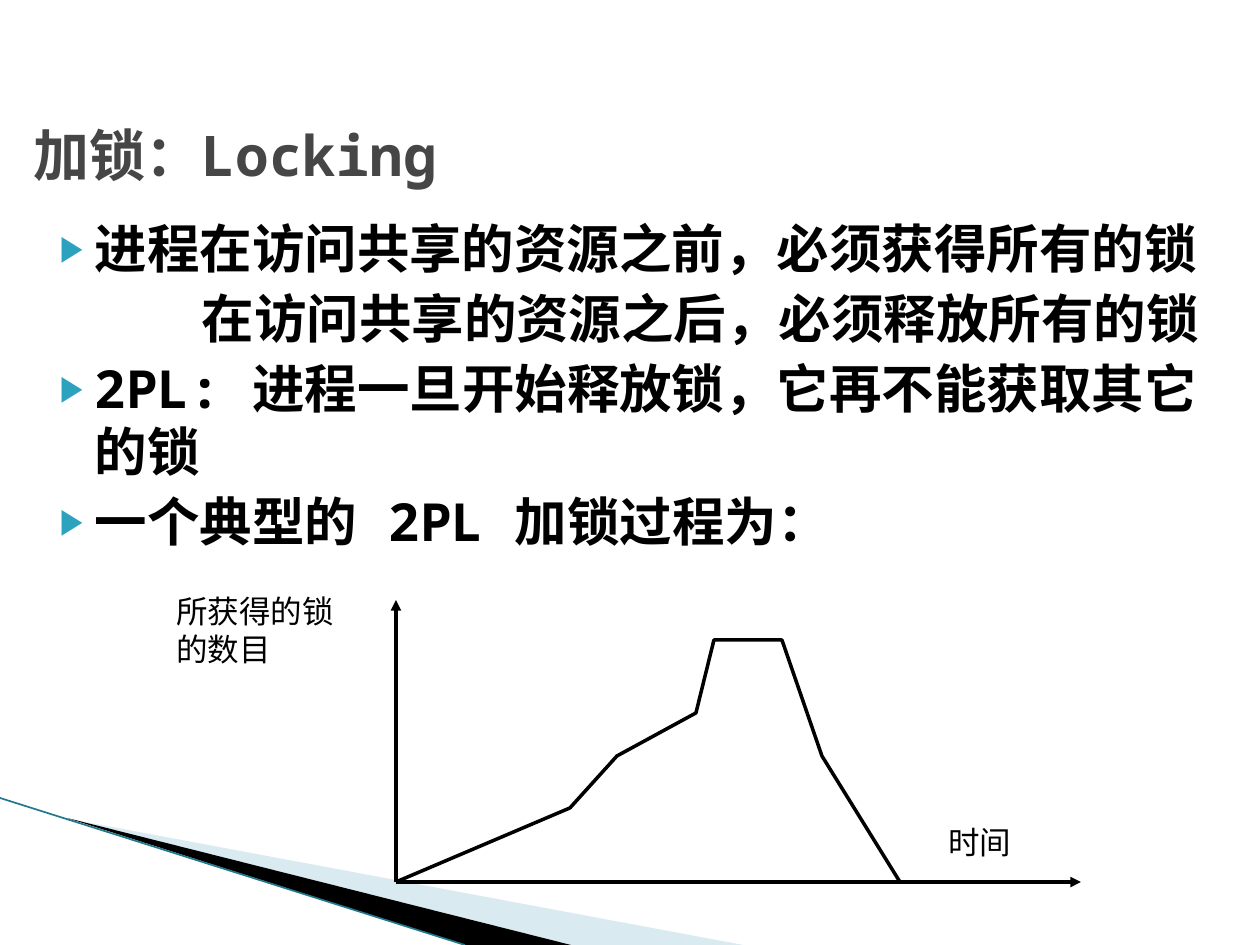
from dataclasses import dataclass

from lxml.etree import SubElement
from pptx import Presentation
from pptx.dml.color import RGBColor
from pptx.enum.text import MSO_ANCHOR as Anchor, MSO_AUTO_SIZE as AutoSize, PP_ALIGN as Align
from pptx.oxml.ns import qn
from pptx.util import Pt

EMU_PER_PX = 914400 / 126


@dataclass(frozen=True)
class Theme:
    ink: str = "000000"
    title: str = "464646"
    bullet: str = "2DA2BF"
    pale: str = "A0CBDC"
    edge: str = "21788C"
    heading_font: str = "Noto Sans Mono"
    label_font: str = "Arial"
    title_size: int = 32
    body_size: int = 30
    label_size: int = 18
    line_width: int = 2
    edge_width: float = 0.95


THEME = Theme()
BODY = [
    ("进程在访问共享的资源之前，必须获得所有的锁", True),
    ("在访问共享的资源之后，必须释放所有的锁", False),
    ("2PL: 进程一旦开始释放锁，它再不能获取其它的锁", True),
    ("一个典型的 2PL 加锁过程为：", True),
]
LOCK_CURVE = [(396, 882), (570, 808), (617, 756), (696, 713), (714, 640),
              (782, 640), (822, 756), (900, 882)]
PALE_STRIPE = [(69, 819), (743, 945), (571, 945)]
DARK_STRIPE = [(67, 818), (571, 945), (465, 945)]


def px(value):
    return round(value * EMU_PER_PX)


def place(shape, left, top, width, height):
    shape.left, shape.top, shape.width, shape.height = map(px, (left, top, width, height))


def style_text(paragraph, font_name, size, color, bold=False):
    for run in paragraph.runs:
        font = run.font
        font.name, font.size, font.bold = font_name, Pt(size), bold
        font.color.rgb = RGBColor.from_string(color)
        SubElement(font._element, qn("a:ea"), typeface=font_name)


def set_bullet(paragraph, indent, hanging, bulleted):
    properties = paragraph._p.get_or_add_pPr()
    properties.set("marL", str(px(indent)))
    properties.set("indent", str(-px(hanging)))
    if not bulleted:
        SubElement(properties, qn("a:buNone"))
        return
    color = SubElement(properties, qn("a:buClr"))
    SubElement(color, qn("a:srgbClr"), val=THEME.bullet)
    SubElement(properties, qn("a:buSzPct"), val="68000")
    SubElement(properties, qn("a:buChar"), char="▶")


def fill_title(shape):
    place(shape, 21, 110, 483, 84)
    frame = shape.text_frame
    frame.text = "加锁：Locking"
    frame.vertical_anchor = Anchor.BOTTOM
    frame.auto_size = AutoSize.NONE
    paragraph = frame.paragraphs[0]
    paragraph.alignment = Align.LEFT
    style_text(paragraph, THEME.heading_font, THEME.title_size, THEME.title, True)


def fill_body(shape):
    place(shape, 32, 210, 1188, 662)
    frame = shape.text_frame
    frame.text = "\n".join(text for text, _ in BODY)
    frame.auto_size = AutoSize.NONE
    for index, (paragraph, (_, bulleted)) in enumerate(zip(frame.paragraphs, BODY)):
        indent, hanging = (50, 35) if bulleted else (157, 0)
        set_bullet(paragraph, indent, hanging, bulleted)
        paragraph.space_before = Pt(4 if index else 0)
        style_text(paragraph, THEME.heading_font, THEME.body_size, THEME.ink, True)


def add_outline(slide, points, closed):
    builder = slide.shapes.build_freeform(*points[0], scale=EMU_PER_PX)
    builder.add_line_segments(points[1:], close=closed)
    shape = builder.convert_to_shape()
    shape.shadow.inherit = False
    return shape


def add_stripe(slide, points, color, opacity=100):
    shape = add_outline(slide, points, closed=True)
    shape.line.fill.background()
    shape.fill.solid()
    shape.fill.fore_color.rgb = RGBColor.from_string(color)
    if opacity < 100:
        color_element = shape._element.spPr.find(".//" + qn("a:srgbClr"))
        SubElement(color_element, qn("a:alpha"), val=str(opacity * 1000))


def style_line(line, color, width):
    line.color.rgb = RGBColor.from_string(color)
    line.width = Pt(width)


def add_curve(slide, points):
    shape = add_outline(slide, points, closed=False)
    shape.fill.background()
    style_line(shape.line, THEME.ink, THEME.line_width)


def add_line(slide, start, end, color, width, arrow=False):
    connector = slide.shapes.add_connector(1, *map(px, start + end))
    style_line(connector.line, color, width)
    if arrow:
        SubElement(connector.line._get_or_add_ln(), qn("a:tailEnd"), type="triangle")
    SubElement(connector._element.spPr, qn("a:effectLst"))


def add_label(slide, text, left, top, width, height):
    frame = slide.shapes.add_textbox(*map(px, (left, top, width, height))).text_frame
    frame.word_wrap = False
    frame.auto_size = AutoSize.SHAPE_TO_FIT_TEXT
    frame.text = text
    for paragraph in frame.paragraphs:
        paragraph.alignment = Align.LEFT
        style_text(paragraph, THEME.label_font, THEME.label_size, THEME.ink)


def main():
    presentation = Presentation()
    presentation.slide_width, presentation.slide_height = px(1260), px(945)
    slide = presentation.slides.add_slide(presentation.slide_layouts[1])
    title, body = slide.placeholders

    add_stripe(slide, PALE_STRIPE, THEME.pale, opacity=40)
    add_stripe(slide, DARK_STRIPE, THEME.ink)
    add_line(slide, (0, 798), (465, 945), THEME.edge, THEME.edge_width)

    fill_body(body)
    fill_title(title)
    for placeholder in (body, title):  # text stays in front of the stripes
        slide.shapes._spTree.append(placeholder._element)

    origin = (396, 882)
    add_line(slide, origin, (396, 600), THEME.ink, THEME.line_width, arrow=True)
    add_line(slide, origin, (1081, 882), THEME.ink, THEME.line_width, arrow=True)
    add_curve(slide, LOCK_CURVE)
    add_label(slide, "所获得的锁\n的数目", 164, 586, 236, 113)
    add_label(slide, "时间", 936, 817, 110, 63)

    presentation.save("out.pptx")


if __name__ == "__main__":
    main()
